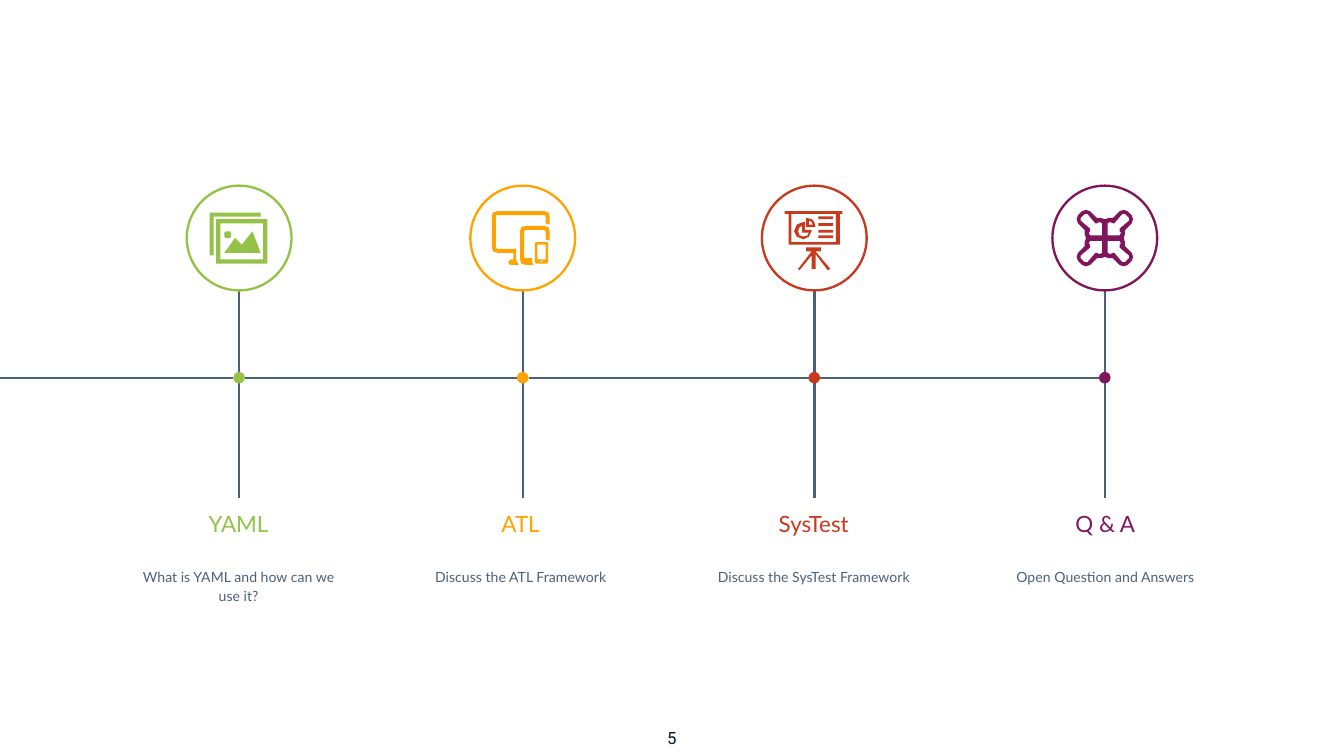
from dataclasses import dataclass
from itertools import product

from lxml.etree import SubElement
from pptx import Presentation
from pptx.dml.color import RGBColor as Rgb
from pptx.enum.shapes import MSO_CONNECTOR as Connector, MSO_SHAPE as Shape
from pptx.enum.text import MSO_AUTO_SIZE as AutoSize, PP_ALIGN as Align
from pptx.oxml.ns import qn
from pptx.util import Cm, Pt


@dataclass(frozen=True)
class Theme:
    slate: Rgb = Rgb(0x4C, 0x60, 0x77)
    ink: Rgb = Rgb(0x06, 0x14, 0x23)
    green: Rgb = Rgb(0x94, 0xC2, 0x47)
    orange: Rgb = Rgb(0xFF, 0xA3, 0x00)
    red: Rgb = Rgb(0xC7, 0x3A, 0x1E)
    purple: Rgb = Rgb(0x81, 0x15, 0x5D)
    heading: Pt = Pt(12)
    detail: Pt = Pt(7.5)
    number: Pt = Pt(9)
    stroke: Pt = Pt(1.25)
    font: str = "Lato"
    number_font: str = "Roboto"


theme = Theme()


def box(left, top, right, bottom, cut=0):
    """Outline of a rectangle, with its corners cut off when cut is given."""
    if not cut:
        return [(left, top), (right, top), (right, bottom), (left, bottom)]
    return [(left + cut, top), (right - cut, top), (right, top + cut), (right, bottom - cut),
            (right - cut, bottom), (left + cut, bottom), (left, bottom - cut), (left, top + cut)]


def add_label(text, center, top, width, height, inset, size, color, font, spacing=None):
    label = slide.shapes.add_textbox(Cm(center - width / 2), Cm(top), Cm(width), Cm(height))
    frame = label.text_frame
    frame.text = text
    frame.word_wrap = True
    frame.auto_size = AutoSize.SHAPE_TO_FIT_TEXT
    frame.margin_left = frame.margin_right = Cm(inset)
    frame.margin_top = frame.margin_bottom = Cm(inset)
    paragraph = frame.paragraphs[0]
    paragraph.alignment = Align.CENTER
    paragraph.line_spacing = spacing
    run_font = paragraph.runs[0].font
    run_font.name, run_font.size = font, size
    run_font.color.rgb = color
    return frame


# Icon outlines, in hundredths of an inch from the centre of the ring
gallery_icon = [
    [(-22, -19), (-22, 13), (-19, 13), (-19, -16), (16, -16), (16, -19)],
    box(-17, -14, 21, 19), box(-14, -11, 18, 16),
    box(-11, -5, -6, 0, 1),
    [(-11, 11), (16, 11), (10, -5), (2, 5), (-3, 0)],
]
devices_icon = [
    [(-19, -20), (-22, -19), (-23, -17), (-23, 7), (-22, 10), (-19, 11), (-7, 11), (-7, 16),
     (-9, 16), (-11, 18), (-9, 20), (-3, 20), (-5, 16), (-5, 8), (-19, 8), (-20, 7),
     (-20, -17), (17, -17), (17, -11), (20, -10), (20, -17), (19, -19), (16, -20)],
    [(2, -9), (-1, -8), (-2, -5), (-2, 16), (-1, 19), (2, 20), (8, 20), (7, 18), (7, 15),
     (1, 15), (1, -5), (2, -6), (16, -6), (17, -5), (17, 1), (20, 2), (20, -5), (19, -8), (16, -9)],
    box(9, 3, 19, 19, 1), box(11, 5, 17, 16), box(13, 17, 15, 18),
]
board_icon = [
    box(-22, -20, 21, -18), box(-19, -18, 19, 5), box(-17, -18, 16, 3),
    *[box(3, top, 14, top + 2) for top in (-16, -11, -6, -2)],
    [(-6, -15), (-6, -8), (1, -8), (0, -12), (-2, -14)],
    [(-4, -13), (-4, -10), (-1, -10), (-2, -12)],
    [(-8, -12), (-13, -10), (-15, -5), (-13, -1), (-8, 1), (-4, -1), (-2, -5), (-2, -6),
     (-7, -6), (-7, -12)],
    [(-9, -9), (-9, -4), (-4, -4), (-5, -2), (-8, -1), (-11, -2), (-12, -5), (-11, -8)],
    [(-6, 7), (-6, 10), (-2, 10), (-12, 23), (-11, 24), (-2, 13), (-2, 23), (1, 23),
     (1, 12), (10, 24), (12, 23), (1, 10), (5, 10), (5, 7)],
]
rim = [(0, -14), (3, -15), (6, -15), (11, -20), (14, -21), (17, -20), (20, -17), (21, -14),
       (20, -11), (15, -6), (15, -3), (14, 0)]
arm = [(2, -2), (2, -11), (4, -12), (6, -11), (7, -11), (13, -18), (15, -18), (18, -15),
       (18, -13), (11, -7), (11, -5), (12, -4), (11, -2)]
drone_icon = [
    [(x * flip_x, y * flip_y)
     for flip_x, flip_y in ((1, 1), (1, -1), (-1, -1), (-1, 1))
     for x, y in rim[::flip_x * flip_y]],
    *[[(x * flip_x, y * flip_y) for x, y in arm] for flip_x, flip_y in product((1, -1), repeat=2)],
]

# Centre, label centre, heading, detail, colour, icon
stations = [
    (4.52, 4.51, "YAML", "What is YAML and how can we use it?", theme.green, gallery_icon),
    (9.88, 9.84, "ATL", "Discuss the ATL Framework", theme.orange, devices_icon),
    (15.39, 15.38, "SysTest", "Discuss the SysTest Framework", theme.red, board_icon),
    (20.88, 20.89, "Q & A", "Open Question and Answers", theme.purple, drone_icon),
]
RING_Y, RING = 4.5, 1.98
RAIL_Y, DOT = 7.14, 0.22
STEM_END = 9.42
ICON_UNIT = Cm(2.54) / 100

prs = Presentation()
prs.slide_width, prs.slide_height = Cm(25.4), Cm(14.29)
slide = prs.slides.add_slide(prs.slide_layouts[6])

# Stems, and the rail from dot to dot
lines = []
rail_start = 0
for center, *_ in stations:
    lines.append((center, RING_Y + RING / 2, center, STEM_END))
    lines.append((rail_start, RAIL_Y, center - DOT / 2, RAIL_Y))
    rail_start = center + DOT / 2
for ends in lines:
    line = slide.shapes.add_connector(Connector.STRAIGHT, *[Cm(end) for end in ends])
    line.line.color.rgb = theme.slate
    line.line.width = theme.stroke
    SubElement(line._element.spPr, qn("a:effectLst"))

for center, label_center, heading, detail, color, icon in stations:
    dot = slide.shapes.add_shape(
        Shape.OVAL, Cm(center - DOT / 2), Cm(RAIL_Y - DOT / 2), Cm(DOT), Cm(DOT))
    ring = slide.shapes.add_shape(
        Shape.OVAL, Cm(center - RING / 2), Cm(RING_Y - RING / 2), Cm(RING), Cm(RING))
    ring.fill.background()
    ring.line.color.rgb = color
    ring.line.width = theme.stroke
    ring.shadow.inherit = False

    outline = slide.shapes.build_freeform(*icon[0][0], scale=ICON_UNIT)
    for contour in icon:
        outline.move_to(*contour[0])
        outline.add_line_segments(contour[1:], close=True)
    symbol = outline.convert_to_shape(Cm(center), Cm(RING_Y))
    for solid in (dot, symbol):
        solid.fill.solid()
        solid.fill.fore_color.rgb = color
        solid.line.fill.background()
        solid.shadow.inherit = False

    add_label(heading, label_center, 9.7, 4.04, 0.53, 0.05,
              theme.heading, color, theme.font, 0.8)
    add_label(detail, label_center, 10.67, 4.14, 0.43, 0.05,
              theme.detail, theme.slate, theme.font, 1.1)

page_number = add_label("5", 12.7, 13.61, 0.71, 0.66, 0.15,
                        theme.number, theme.ink, theme.number_font)
page_number.word_wrap = False

prs.save("out.pptx")
